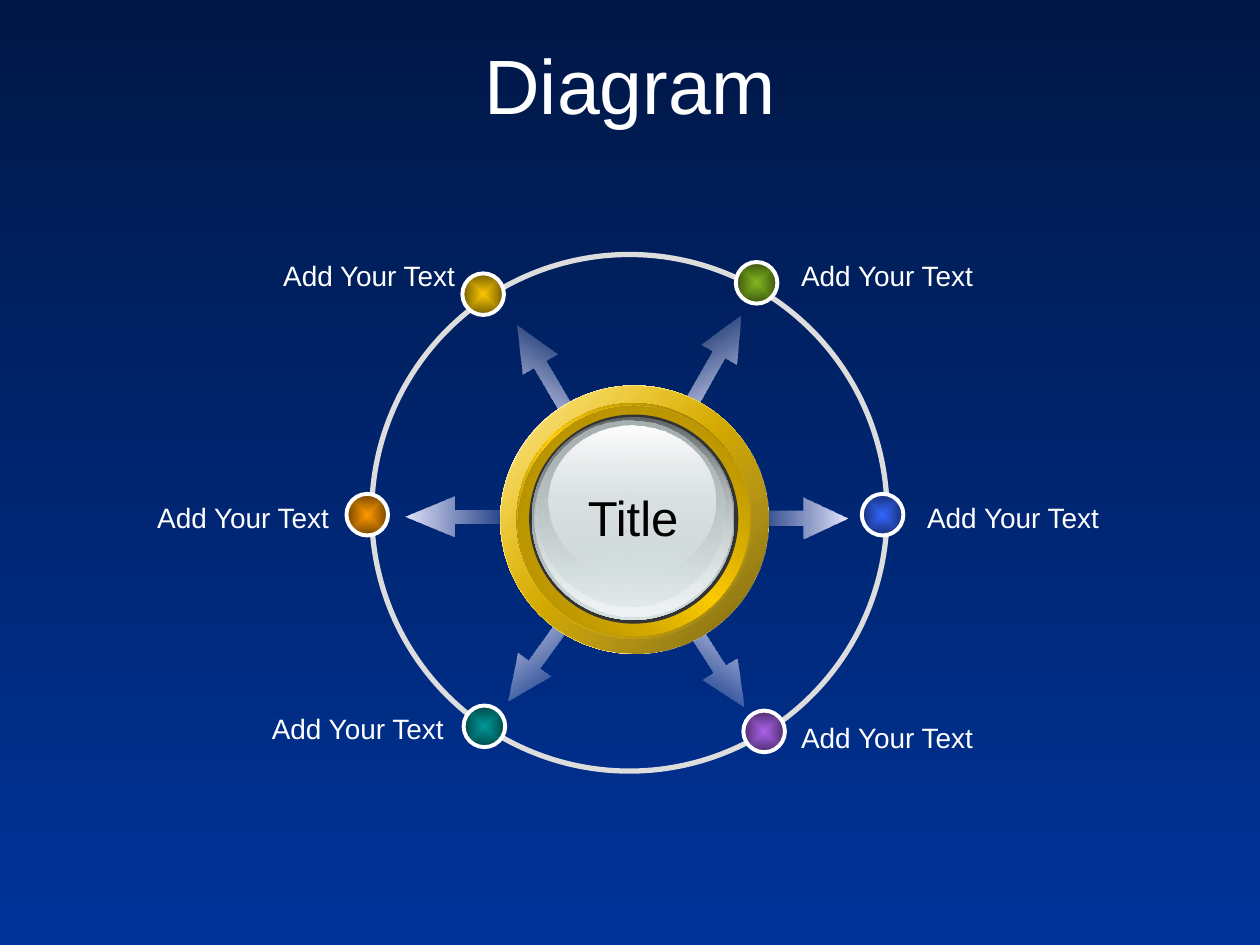
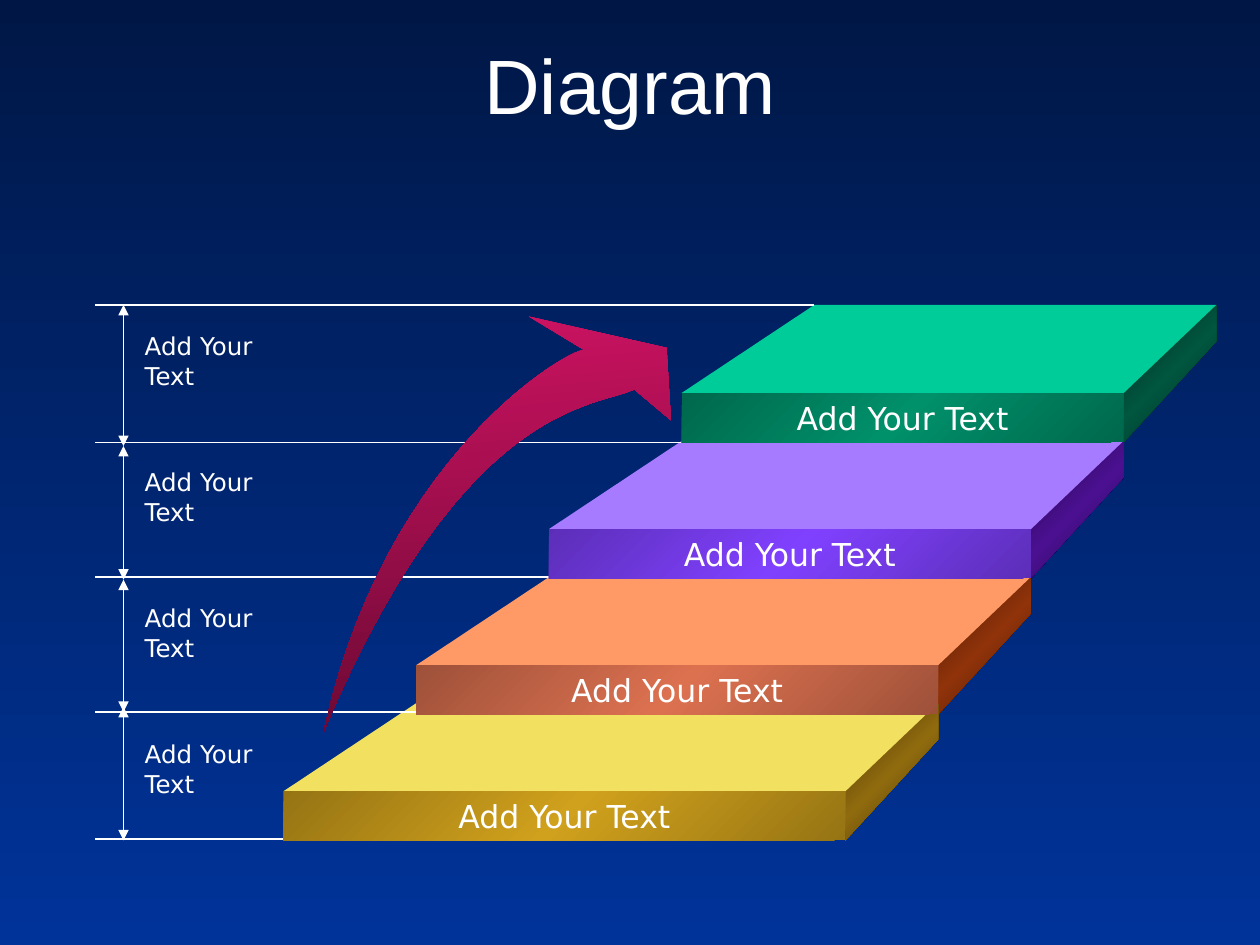
import pptx
import pptx.dml.color
import pptx.enum.shapes
import pptx.enum.text
import pptx.oxml.ns
import pptx.util
from lxml import etree

COLS, ROWS = 100, 75
CELL = pptx.util.Inches(0.1)
SHAPE = pptx.enum.shapes.MSO_SHAPE
ALIGN = pptx.enum.text.PP_ALIGN
ANCHOR = pptx.enum.text.MSO_ANCHOR
LABEL = "Add Your Text"

HUES = {
    "night": "001746", "sea": "003399", "white": "FFFFFF", "black": "000000",
    "mist": "E5E5FF", "haze": "CBCBE2", "ring": "DDDDDD",
    "pearl": "FEFEFE", "gold": "FFCC00", "umber": "755E00", "bronze": "896D00",
    "brass": "A18100", "coal": "333333", "slate": "626768", "glass": "D6E1E2",
    "frost": "EFF3F3", "steel": "A8B1B2",
    "amber": "FCC804", "amber_rim": "745C01", "leaf": "82B820", "leaf_rim": "3B540E",
    "blue": "3366FF", "blue_rim": "172F75", "plum": "AA62EC", "plum_rim": "4E2D6C",
    "teal": "009999", "teal_rim": "004646", "fire": "FF9900", "fire_rim": "754600",
    "rose": "D11364", "wine": "60082E",
    "corn": "F2E160", "corn_front": "967414", "corn_glow": "D0A11C",
    "corn_side": "423106", "corn_shade": "906B0E",
    "peach": "FF9966", "peach_front": "9E5139", "peach_glow": "DC7150",
    "peach_side": "421704", "peach_shade": "90330A",
    "lilac": "A77BFF", "lilac_front": "5C2EB8", "lilac_glow": "8041FF",
    "lilac_side": "220743", "lilac_shade": "4B1092",
    "jade": "00CC99", "jade_front": "00684C", "jade_glow": "00906A",
    "jade_side": "00271D", "jade_shade": "00563F",
}


def grid(*cells):
    return [pptx.util.Emu(round(n * CELL)) for n in cells]


def tint(name):
    return pptx.dml.color.RGBColor.from_string(HUES[name])


def node(parent, tag, **attrs):
    child = etree.SubElement(parent, pptx.oxml.ns.qn("a:" + tag))
    for key, value in attrs.items():
        child.set(key, str(value))
    return child


def write(frame, text, size=16, font="Arial", hue="white", align=ALIGN.LEFT,
          anchor=ANCHOR.TOP, wrap=True):
    frame.word_wrap = wrap
    frame.vertical_anchor = anchor
    para = frame.paragraphs[0]
    para.text = text
    para.alignment = align
    para.font.size = pptx.util.Pt(size)
    para.font.name = font
    para.font.color.rgb = tint(hue)


def blend(shape, stops, angle=None):
    """Fill with (hue, opacity) stops, evenly spaced; no angle means from the centre out."""
    shape.fill.gradient()
    grad = shape._element.spPr.find(pptx.oxml.ns.qn("a:gradFill"))
    for child in list(grad):
        grad.remove(child)
    grad.set("rotWithShape", "0")
    bag = node(grad, "gsLst")
    for i, stop in enumerate(stops):
        hue, alpha = stop if isinstance(stop, tuple) else (stop, 100)
        mark = node(bag, "gs", pos=100000 * i // (len(stops) - 1))
        color = node(mark, "srgbClr", val=HUES[hue])
        if alpha < 100:
            node(color, "alpha", val=alpha * 1000)
    if angle is None:
        way = node(grad, "path", path="rect")
        node(way, "fillToRect", l=50000, t=50000, r=50000, b=50000)
    else:
        node(grad, "lin", ang=round(angle % 360 * 60000), scaled=0)


def curve(a, b, c, d, steps=28):
    """Points along the cubic curve from a to d with handles b and c."""
    points = []
    for i in range(steps + 1):
        t = i / steps
        u = 1 - t
        parts = (u ** 3, 3 * u * u * t, 3 * u * t * t, t ** 3)
        points.append(tuple(sum(p * n for p, n in zip(parts, axis))
                            for axis in zip(a, b, c, d)))
    return points


class Deck:
    def __init__(self):
        self.file = pptx.Presentation()
        self.file.slide_width, self.file.slide_height = grid(COLS, ROWS)
        fill = self.file.slide_master.background.fill
        fill.gradient()
        fill.gradient_angle = 270
        for stop, hue, place in zip(fill.gradient_stops, ("night", "sea"), (0, 1)):
            stop.color.rgb = tint(hue)
            stop.position = place
        self.slide = None

    def page(self, title):
        self.slide = self.file.slides.add_slide(self.file.slide_layouts[5])
        head = self.slide.shapes.title
        head.left, head.top, head.width, head.height = grid(0, 2.5, COLS, 8.3)
        write(head.text_frame, title, size=44, align=ALIGN.CENTER, anchor=ANCHOR.MIDDLE)

    def style(self, shape, fill, angle, line=None, width=1):
        """Fill with one hue, a list of stops or nothing."""
        shape.shadow.inherit = False
        if fill is None:
            shape.fill.background()
        elif isinstance(fill, str):
            shape.fill.solid()
            shape.fill.fore_color.rgb = tint(fill)
        else:
            blend(shape, fill, angle)
        if line:
            shape.line.color.rgb = tint(line)
            shape.line.width = pptx.util.Pt(width)
        else:
            shape.line.fill.background()
        return shape

    def form(self, kind, box, fill=None, angle=None, **line):
        shape = self.slide.shapes.add_shape(kind, *grid(*box))
        return self.style(shape, fill, angle, **line)

    def poly(self, points, fill, angle=None):
        first, *rest = [grid(*point) for point in points]
        pen = self.slide.shapes.build_freeform(*first)
        pen.add_line_segments(rest, close=True)
        return self.style(pen.convert_to_shape(), fill, angle)

    def text(self, box, text, **look):
        write(self.slide.shapes.add_textbox(*grid(*box)).text_frame, text, **look)

    def rule(self, x1, y1, x2, y2, heads=False):
        line = self.slide.shapes.add_connector(
            pptx.enum.shapes.MSO_CONNECTOR.STRAIGHT, *grid(x1, y1, x2, y2))
        line.line.color.rgb = tint("white")
        line.line.width = pptx.util.Pt(0.75)
        if heads:
            for end in ("headEnd", "tailEnd"):
                node(line.line._ln, end, type="triangle")
        node(line._element.spPr, "effectLst")


def wheel(deck):
    deck.page("Diagram")

    # centre x, centre y, length, turn
    arrows = [(56.65, 28.8, 8.7, 299.6), (56.65, 52.4, 8.7, 57.8),
              (43.25, 29.6, 8.7, 239.5), (42.85, 52.1, 8.7, 125.6),
              (62.95, 41.1, 8.7, 0), (36.9, 41, 9.4, 180)]
    high = 3.2
    for x, y, wide, turn in arrows:
        arrow = deck.form(SHAPE.RIGHT_ARROW, (x - wide / 2, y - high / 2, wide, high),
                          ["mist", ("haze", 0)], 180 - turn)
        arrow.adjustments[0] = 0.35
        arrow.adjustments[1] = 1.11 if wide < 9 else 1.21
        arrow.rotation = turn

    deck.form(SHAPE.OVAL, (29.5, 20.2, 40.9, 41), line="ring", width=3)

    discs = [
        ((39.7, 30.6, 21.3, 21.3), ["pearl", "gold", "pearl"], 225),
        ((39.7, 30.6, 21.3, 21.3), ["umber", ("gold", 32)], 225),
        ((41, 32, 18.5, 18.5), ["bronze", "gold", "bronze"], 135),
        ((41.1, 32.2, 18.5, 18.5), [("gold", 0), "brass"], 225),
        ((42, 32.9, 16.6, 16.6), "coal", None),
        ((42.2, 33.1, 16.1, 16.1), ["slate", "glass"], 90),
        ((42.4, 33.2, 15.7, 15.7), [("glass", 0), "frost"], 90),
        ((42.6, 33.4, 14.9, 14.7), ["steel", ("glass", 48)], 90),
        ((43.5, 33.8, 13.3, 11.9), ["pearl", ("glass", 38)], 90),
    ]
    for box, fill, angle in discs:
        deck.form(SHAPE.OVAL, box, fill, angle)
    deck.text((44.6, 38.2, 11.3, 5.7), "Title", size=28, hue="black", align=ALIGN.CENTER)

    # hue, dot corner, label corner, label side
    spots = [("amber", (36.7, 21.7), (21, 20), ALIGN.RIGHT),
             ("leaf", (58.4, 20.8), (62.6, 20), ALIGN.LEFT),
             ("blue", (68.4, 39.2), (72.6, 39.2), ALIGN.LEFT),
             ("plum", (59, 56.4), (62.6, 56.7), ALIGN.LEFT),
             ("teal", (36.8, 56), (20.1, 56), ALIGN.RIGHT),
             ("fire", (27.5, 39.2), (11, 39.2), ALIGN.RIGHT)]
    for hue, dot, label, side in spots:
        deck.text((*label, 16.1, 3.7), LABEL, align=side)
        deck.form(SHAPE.OVAL, (*dot, 3.3, 3.3), [hue, hue + "_rim"],
                  line="white", width=2.25)


def stairs(deck):
    deck.page("Diagram")
    font = "DejaVu Sans"
    deep, rise = 7.35, 7

    # front face of each step, from the lowest up
    steps = [(hue, 22.5 + 10.53 * i, top, 44.6 - 3.17 * i)
             for i, (hue, top) in enumerate(
                 [("corn", 62.8), ("peach", 52.8), ("lilac", 42), ("jade", 31.2)])]

    for hue, left, top, wide in reversed(steps):
        right = left + wide
        back = top - rise
        deck.poly([(right + deep, back + 2.9), (right, top + 3.9), (right, top),
                   (right + deep, back)],
                  [hue + "_side", hue + "_shade", hue + "_side"], 225)
        deck.poly([(right, top), (left, top), (left + 10.55, back),
                   (right + deep, back)], hue)

    for i, y in enumerate([66.6, 56.5, 45.8, 35.1, 24.2]):
        deck.rule(22.5 + 10.53 * i, y, 7.5, y)
    for y1, y2 in [(24.2, 35.4), (35.4, 46), (46, 56.5), (56.1, 66.7)]:
        deck.rule(9.8, y1, 9.8, y2, heads=True)

    tail = (27, 59.2)
    outer = curve(tail, (30, 36.8), (44.1, 27.2), (45.2, 27.3))
    inner = curve(tail, (36, 32), (46.5, 31.8), (49.4, 30.1))
    tip = [(40.6, 25), (51.7, 26.6), (52.5, 32.3)]
    sweep = deck.poly(outer + tip + inner[:0:-1], ["rose", "wine"], 85)
    sweep.rotation = 4.6

    for i, (hue, left, top, wide) in enumerate(reversed(steps)):
        face = deck.form(SHAPE.RECTANGLE, (left, top, wide, 3.9),
                         [hue + "_front", hue + "_glow", hue + "_front"], 225)
        write(face.text_frame, LABEL, size=18, font=font, align=ALIGN.CENTER,
              anchor=ANCHOR.MIDDLE, wrap=False)
        deck.text((10.5, 25.8 + 10.8 * i, 14.8, 3.4), LABEL, size=14, font=font)


def main():
    deck = Deck()
    wheel(deck)
    stairs(deck)
    deck.file.save("out.pptx")


if __name__ == "__main__":
    main()
